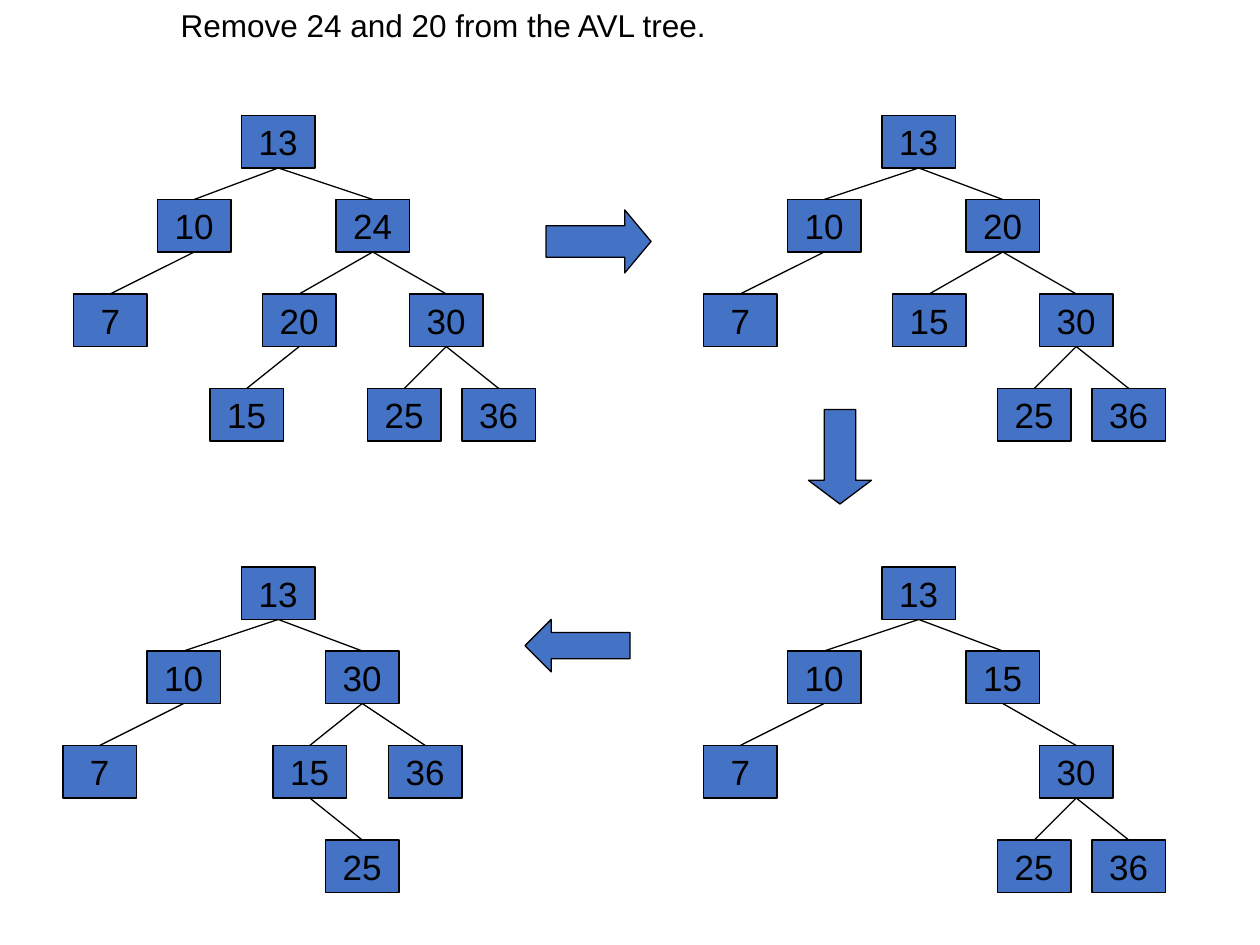
from dataclasses import dataclass

import pptx
import pptx.dml.color
import pptx.enum.shapes
import pptx.enum.text
import pptx.oxml
import pptx.oxml.ns
import pptx.util
from pptx.enum.shapes import MSO_SHAPE
from pptx.shapes.autoshape import Shape
from pptx.slide import Slide

EMU_PER_PX = 9525
SLIDE_WIDTH, SLIDE_HEIGHT = 960, 720
NODE_WIDTH, NODE_HEIGHT = 56, 40
LEVEL_OFFSETS = (0, 64, 136, 208)
UPPER_ROW, LOWER_ROW = 88, 432
BOTTOM_SITE, TOP_SITE = 2, 0


@dataclass(frozen=True)
class Theme:
    font: str = "Arial"
    title_size: int = 18
    node_size: int = 20
    line_width: float = 0.75
    fill: pptx.dml.color.RGBColor = pptx.dml.color.RGBColor(0x44, 0x72, 0xC4)
    ink: pptx.dml.color.RGBColor = pptx.dml.color.RGBColor(0, 0, 0)


@dataclass(frozen=True)
class Node:
    key: int
    left: int
    children: tuple["Node", ...] = ()


@dataclass(frozen=True)
class Tree:
    top: int
    root: Node


@dataclass(frozen=True)
class BlockArrow:
    kind: MSO_SHAPE
    left: int
    top: int
    width: int
    height: int
    head: float


THEME = Theme()

TREES = (
    Tree(UPPER_ROW, Node(13, 184, (
        Node(10, 120, (Node(7, 56),)),
        Node(24, 256, (
            Node(20, 200, (Node(15, 160),)),
            Node(30, 312, (Node(25, 280), Node(36, 352))),
        )),
    ))),
    Tree(UPPER_ROW, Node(13, 672, (
        Node(10, 600, (Node(7, 536),)),
        Node(20, 736, (
            Node(15, 680),
            Node(30, 792, (Node(25, 760), Node(36, 832))),
        )),
    ))),
    Tree(LOWER_ROW, Node(13, 672, (
        Node(10, 600, (Node(7, 536),)),
        Node(15, 736, (
            Node(30, 792, (Node(25, 760), Node(36, 832))),
        )),
    ))),
    Tree(LOWER_ROW, Node(13, 184, (
        Node(10, 112, (Node(7, 48),)),
        Node(30, 248, (
            Node(15, 208, (Node(25, 248),)),
            Node(36, 296),
        )),
    ))),
)

ARROWS = (
    BlockArrow(MSO_SHAPE.RIGHT_ARROW, 416, 160, 80, 48, 0.417),
    BlockArrow(MSO_SHAPE.DOWN_ARROW, 616, 312, 48, 72, 0.375),
    BlockArrow(MSO_SHAPE.LEFT_ARROW, 400, 472, 80, 40, 0.5),
)


def px(length: int) -> pptx.util.Emu:
    return pptx.util.Emu(length * EMU_PER_PX)


def style_font(font: pptx.text.text.Font, size: int) -> None:
    font.name = THEME.font
    font.size = pptx.util.Pt(size)
    font.color.rgb = THEME.ink


def style_line(line: pptx.dml.line.LineFormat) -> None:
    line.color.rgb = THEME.ink
    line.width = pptx.util.Pt(THEME.line_width)


def add_filled_shape(slide: Slide, kind: MSO_SHAPE, left: int, top: int,
                     width: int, height: int) -> Shape:
    shape = slide.shapes.add_shape(kind, px(left), px(top), px(width), px(height))
    shape.shadow.inherit = False
    shape.fill.solid()
    shape.fill.fore_color.rgb = THEME.fill
    style_line(shape.line)
    return shape


def add_title(slide: Slide, text: str) -> None:
    title = slide.shapes.title
    title.left, title.top, title.width, title.height = px(80), px(0), px(784), px(38)
    frame = title.text_frame
    frame.text = text
    frame.word_wrap = True
    frame.auto_size = pptx.enum.text.MSO_AUTO_SIZE.SHAPE_TO_FIT_TEXT
    frame.vertical_anchor = pptx.enum.text.MSO_ANCHOR.TOP
    paragraph = frame.paragraphs[0]
    paragraph.alignment = pptx.enum.text.PP_ALIGN.LEFT
    properties = paragraph._p.get_or_add_pPr()
    properties.set("marL", str(px(48)))
    properties.set("indent", "0")
    style_font(paragraph.font, THEME.title_size)


def add_edge(slide: Slide, parent: Shape, child: Shape) -> None:
    edge = slide.shapes.add_connector(
        pptx.enum.shapes.MSO_CONNECTOR.STRAIGHT, 0, 0, 0, 0)
    edge.begin_connect(parent, BOTTOM_SITE)
    edge.end_connect(child, TOP_SITE)
    style_line(edge.line)
    properties = edge._element.spPr
    properties.append(pptx.oxml.parse_xml(
        f"<a:effectLst {pptx.oxml.ns.nsdecls('a')}/>"))


def add_node(slide: Slide, node: Node, tree_top: int, level: int = 0) -> Shape:
    """Draw a node and everything below it; return the node's box."""
    box = add_filled_shape(slide, MSO_SHAPE.RECTANGLE, node.left,
                           tree_top + LEVEL_OFFSETS[level], NODE_WIDTH, NODE_HEIGHT)
    frame = box.text_frame
    frame.text = str(node.key)
    frame.word_wrap = False
    frame.vertical_anchor = pptx.enum.text.MSO_ANCHOR.MIDDLE
    paragraph = frame.paragraphs[0]
    paragraph.alignment = pptx.enum.text.PP_ALIGN.CENTER
    style_font(paragraph.font, THEME.node_size)
    for child in node.children:
        add_edge(slide, box, add_node(slide, child, tree_top, level + 1))
    return box


def add_block_arrow(slide: Slide, arrow: BlockArrow) -> None:
    shape = add_filled_shape(slide, arrow.kind, arrow.left, arrow.top,
                             arrow.width, arrow.height)
    shape.adjustments[0] = 0.5
    shape.adjustments[1] = arrow.head


def main() -> None:
    presentation = pptx.Presentation()
    presentation.slide_width = px(SLIDE_WIDTH)
    presentation.slide_height = px(SLIDE_HEIGHT)
    title_only = presentation.slide_layouts.get_by_name("Title Only")
    slide = presentation.slides.add_slide(title_only)
    add_title(slide, "Remove 24 and 20 from the AVL tree.")
    for tree in TREES:
        add_node(slide, tree.root, tree.top)
    for arrow in ARROWS:
        add_block_arrow(slide, arrow)
    presentation.save("out.pptx")


if __name__ == "__main__":
    main()
